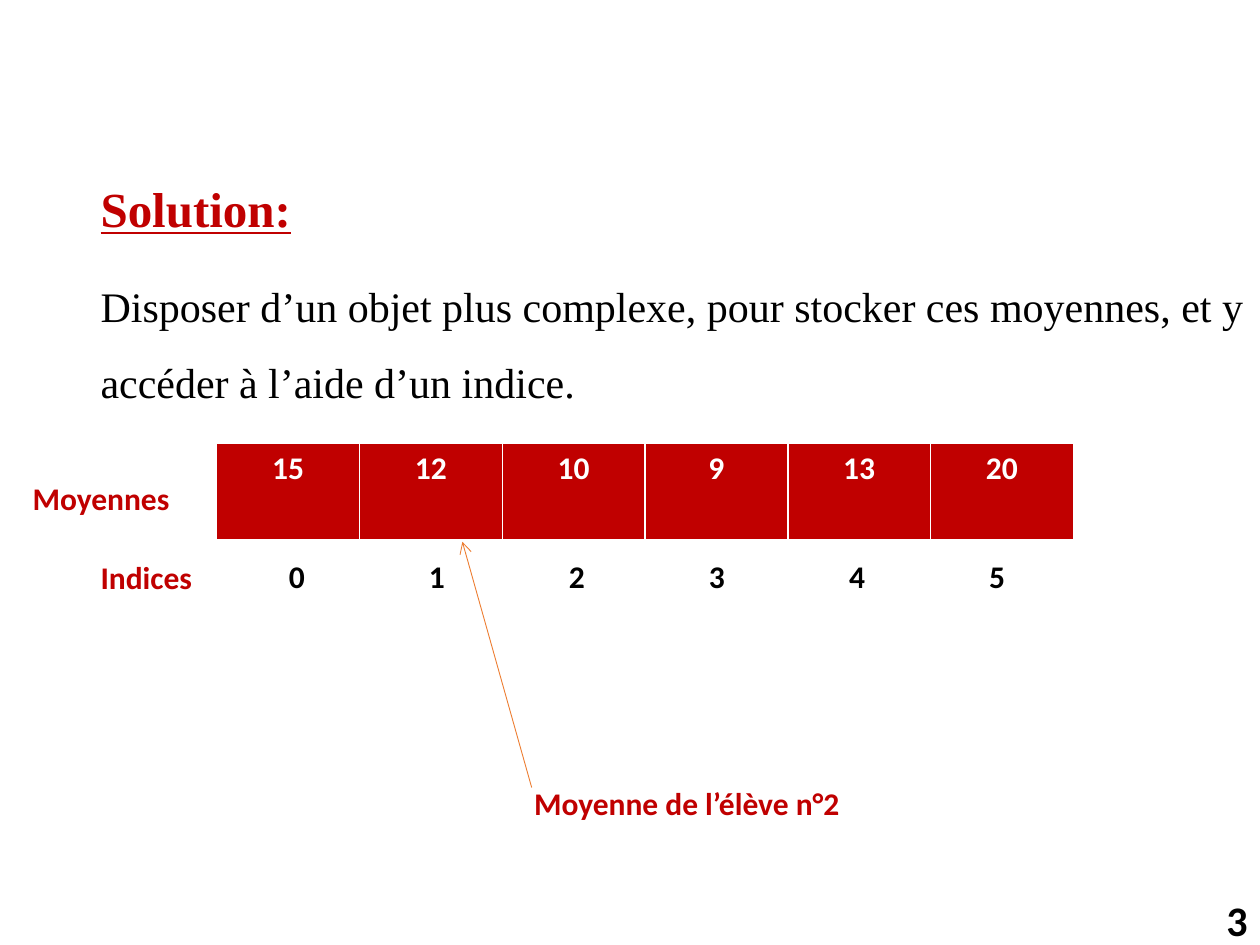
import pptx
import pptx.dml.color
import pptx.enum.shapes
import pptx.enum.text
import pptx.oxml.ns
import pptx.util
from lxml import etree

Inches = pptx.util.Inches
Pt = pptx.util.Pt
Align = pptx.enum.text.PP_ALIGN

RED, WHITE, BLACK, ORANGE = "C00000", "FFFFFF", "000000", "ED7D31"
HEADING = "Solution:"
EXPLANATION = (
    "Disposer d’un objet plus complexe, pour stocker ces moyennes, "
    "et y accéder à l’aide d’un indice."
)
TABLES = [
    {"values": [15, 12, 10, 9, 13, 20], "box": (1.72, 3.52, 6.8, 0.78),
     "fill": RED, "color": WHITE},
    {"values": [0, 1, 2, 3, 4, 5], "box": (1.8, 4.38, 6.67, 0.41),
     "fill": None, "color": BLACK},
]
LABELS = [
    ("Moyennes", (0.16, 3.75, 1.41, 0.4)),
    ("Indices", (0.7, 4.38, 1.09, 0.4)),
    ("Moyenne de l’élève n°2", (4.14, 6.17, 3.42, 0.4)),
]
SLIDE_NUMBER = "3"
BORDERS = {"lnL": 1, "lnR": 1, "lnT": 1, "lnB": 3}
ARROW_TIP, ARROW_TAIL = (3.67, 4.3), (4.22, 6.25)


def rgb(color):
    return pptx.dml.color.RGBColor.from_string(color)


def add_xml(parent, tag, **attributes):
    return etree.SubElement(parent, pptx.oxml.ns.qn(tag), **attributes)


def style(paragraph, size, color, name="Calibri", bold=True):
    font = paragraph.font
    font.size, font.name, font.bold = Pt(size), name, bold
    font.color.rgb = rgb(color)


def add_text(slide, box, text):
    frame = slide.shapes.add_textbox(*map(Inches, box)).text_frame
    frame.word_wrap = True
    frame.text = text
    return frame


def add_body(slide):
    frame = add_text(slide, (0.7, 1.42, 9.53, 5.27), HEADING)
    heading = frame.paragraphs[0]
    heading.line_spacing = 0.9
    style(heading, 28, RED, "Times New Roman")
    heading.font.underline = True
    explanation = frame.add_paragraph()
    explanation.text = EXPLANATION
    explanation.line_spacing = 1.5
    explanation.space_before = Pt(10)
    style(explanation, 24, BLACK, "Times New Roman", False)


def add_borders(cell):
    properties = cell._tc.get_or_add_tcPr()
    for side, width in BORDERS.items():
        line = add_xml(properties, f"a:{side}", w=str(Pt(width)))
        add_xml(add_xml(line, "a:solidFill"), "a:srgbClr", val=WHITE)


def add_row_table(slide, values, box, fill, color):
    table = slide.shapes.add_table(1, len(values), *map(Inches, box)).table
    for cell, value in zip(table.rows[0].cells, values):
        add_borders(cell)
        if fill:
            cell.fill.solid()
            cell.fill.fore_color.rgb = rgb(fill)
        else:
            cell.fill.background()
        cell.text = str(value)
        paragraph = cell.text_frame.paragraphs[0]
        paragraph.alignment = Align.CENTER
        style(paragraph, 18, color)


def add_arrow(slide):
    arrow = slide.shapes.add_connector(
        pptx.enum.shapes.MSO_CONNECTOR.STRAIGHT,
        *map(Inches, ARROW_TIP + ARROW_TAIL))
    arrow.line.color.rgb = rgb(ORANGE)
    arrow.line.width = Pt(0.5)
    add_xml(arrow.line._get_or_add_ln(), "a:headEnd", type="arrow")
    add_xml(arrow._element.spPr, "a:effectLst")


def main():
    presentation = pptx.Presentation()
    presentation.slide_width = Inches(10)
    presentation.slide_height = Inches(7.5)
    slide = presentation.slides.add_slide(presentation.slide_layouts[6])

    number = add_text(slide, (7.75, 7.1, 2.25, 0.4), SLIDE_NUMBER)
    number.vertical_anchor = pptx.enum.text.MSO_ANCHOR.MIDDLE
    number.paragraphs[0].alignment = Align.RIGHT
    style(number.paragraphs[0], 24, BLACK)

    add_body(slide)
    for table in TABLES:
        add_row_table(slide, **table)
    for text, box in LABELS:
        style(add_text(slide, box, text).paragraphs[0], 18, RED)
    add_arrow(slide)
    presentation.save("out.pptx")


if __name__ == "__main__":
    main()
